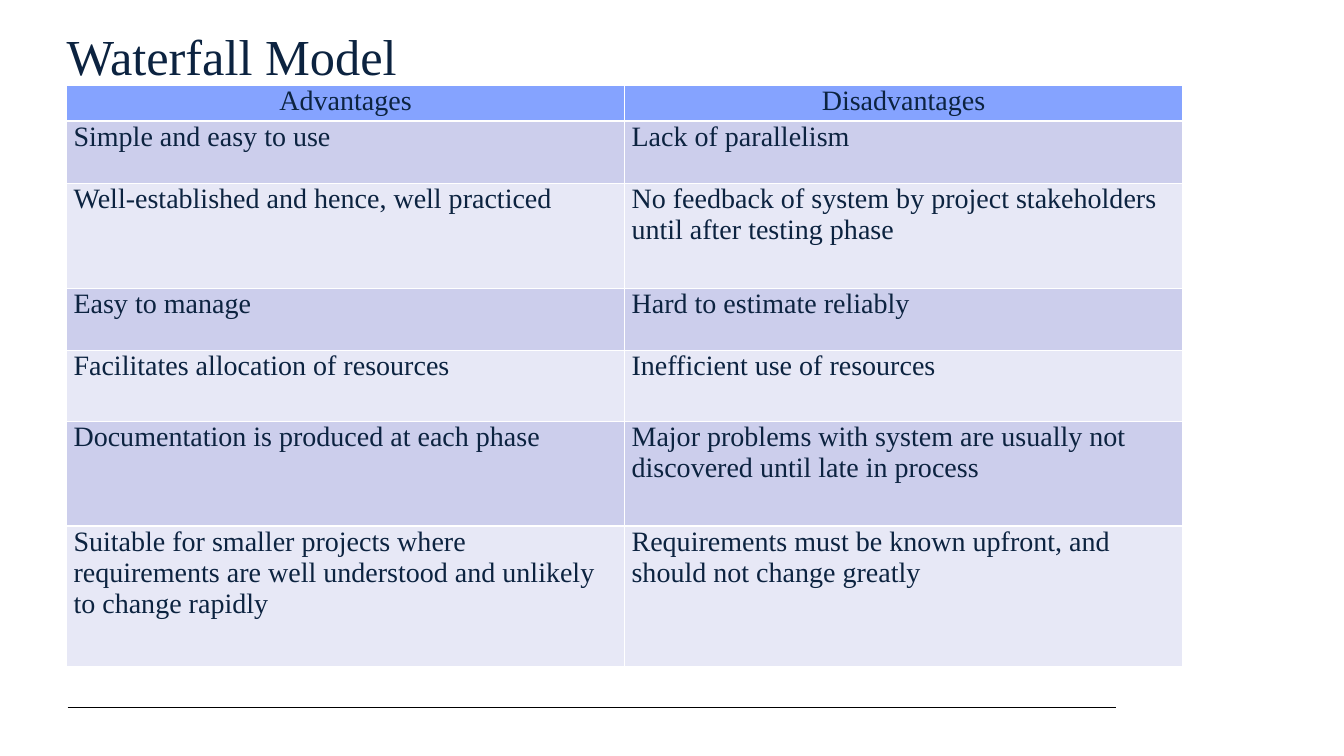
import pptx
import pptx.util
import pptx.dml.color
import pptx.enum.shapes
import pptx.enum.text
import pptx.oxml.ns
import lxml.etree

Inches = pptx.util.Inches
Pt = pptx.util.Pt
FONT = "Times New Roman"
COLORS = {
    "text": "0C2340",
    "header": "85A3FF",
    "odd": "CCCEEC",
    "even": "E7E8F6",
    "border": "FFFFFF",
    "rule": "000000",
}
ROWS = [
    (0.35, "Advantages", "Disadvantages"),
    (0.62, "Simple and easy to use", "Lack of parallelism"),
    (1.04, "Well-established and hence, well practiced",
     "No feedback of system by project stakeholders until after testing phase"),
    (0.62, "Easy to manage", "Hard to estimate reliably"),
    (0.7, "Facilitates allocation of resources", "Inefficient use of resources"),
    (1.04, "Documentation is produced at each phase",
     "Major problems with system are usually not discovered until late in process"),
    (1.39, "Suitable for smaller projects where requirements are well understood "
           "and unlikely to change rapidly",
     "Requirements must be known upfront, and should not change greatly"),
]


def rgb(name):
    return pptx.dml.color.RGBColor.from_string(COLORS[name])


def write(tf, text, size):
    p = tf.paragraphs[0]
    p.text = text
    p.font.name = FONT
    p.font.size = Pt(size)
    p.font.color.rgb = rgb("text")
    return p


def add_title(s, text):
    tf = s.shapes.add_textbox(Inches(0.66), Inches(0.25), Inches(10.41), Inches(0.6)).text_frame
    tf.word_wrap = True
    tf.margin_left = tf.margin_top = tf.margin_bottom = 0
    write(tf, text, 36)


def add_rule(s, left, right, y):
    line = s.shapes.add_connector(pptx.enum.shapes.MSO_CONNECTOR.STRAIGHT,
                                  Inches(left), Inches(y), Inches(right), Inches(y))
    line.line.color.rgb = rgb("rule")
    line.line.width = Pt(0.75)
    lxml.etree.SubElement(line._element.spPr, pptx.oxml.ns.qn("a:effectLst"))


def set_borders(cell):
    qn = pptx.oxml.ns.qn
    tcPr = cell._tc.get_or_add_tcPr()
    for i, side in enumerate(("a:lnL", "a:lnR", "a:lnT", "a:lnB")):
        ln = lxml.etree.Element(qn(side), w=str(Pt(1)))
        fill = lxml.etree.SubElement(ln, qn("a:solidFill"))
        lxml.etree.SubElement(fill, qn("a:srgbClr"), val=COLORS["border"])
        tcPr.insert(i, ln)


def fill_cell(cell, text, row):
    cell.margin_left = cell.margin_right = Inches(0.07)
    cell.margin_top = cell.margin_bottom = 0
    p = write(cell.text_frame, text, 20)
    if row == 0:
        p.alignment = pptx.enum.text.PP_ALIGN.CENTER
    cell.fill.solid()
    cell.fill.fore_color.rgb = rgb("header" if row == 0 else "odd" if row % 2 else "even")
    set_borders(cell)


def add_comparison(s, rows):
    height = sum(row[0] for row in rows)
    table = s.shapes.add_table(len(rows), 2, Inches(0.66), Inches(0.85),
                               Inches(11.07), Inches(height)).table
    for i, (row_height, *texts) in enumerate(rows):
        table.rows[i].height = Inches(row_height)
        for j, text in enumerate(texts):
            fill_cell(table.cell(i, j), text, i)


def main():
    prs = pptx.Presentation()
    prs.slide_width = Inches(13.33)
    prs.slide_height = Inches(7.5)
    s = prs.slides.add_slide(prs.slide_layouts[6])
    add_rule(s, 0.67, 11.07, 7.02)
    add_comparison(s, ROWS)
    add_title(s, "Waterfall Model")
    prs.save("out.pptx")


if __name__ == "__main__":
    main()
